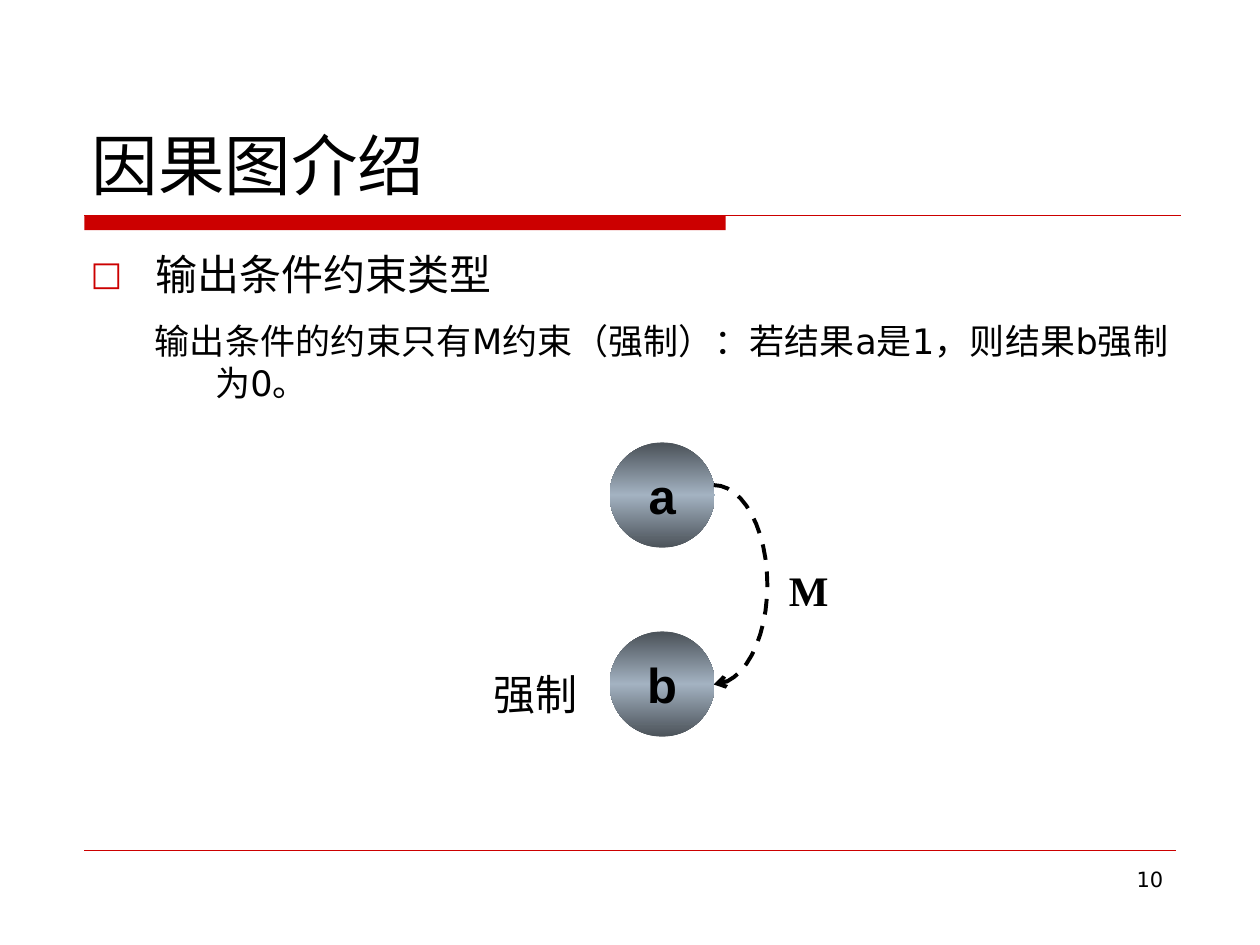
"""Build the slide on the M constraint between output conditions in cause-effect graphs."""
from math import cos, pi, sin

from lxml import etree
from pptx import Presentation
from pptx.dml.color import RGBColor
from pptx.enum.dml import MSO_LINE
from pptx.enum.shapes import MSO_CONNECTOR, MSO_SHAPE
from pptx.enum.text import MSO_ANCHOR, MSO_AUTO_SIZE, PP_ALIGN
from pptx.oxml.ns import qn
from pptx.util import Cm, Pt

STRAIGHT = MSO_CONNECTOR.STRAIGHT
RECTANGLE, OVAL = MSO_SHAPE.RECTANGLE, MSO_SHAPE.OVAL
DASH = MSO_LINE.DASH
BOTTOM, MIDDLE = MSO_ANCHOR.BOTTOM, MSO_ANCHOR.MIDDLE
GROW = MSO_AUTO_SIZE.SHAPE_TO_FIT_TEXT
LEFT, CENTER, RIGHT, JUSTIFY = PP_ALIGN.LEFT, PP_ALIGN.CENTER, PP_ALIGN.RIGHT, PP_ALIGN.JUSTIFY
COLORS = {name: RGBColor.from_string(value) for name, value in {
    "red": "CC0000", "black": "000000", "steel": "A3B2C1", "slate": "4B5259"}.items()}


def style(paragraph, size, font, align=LEFT, bold=False, east_asian=None):
    paragraph.alignment = align
    for run in paragraph.runs:
        run.font.size, run.font.name, run.font.bold = Pt(size), font, bold
        run.font.color.rgb = COLORS["black"]
        etree.SubElement(run.font._element, qn("a:ea"), typeface=east_asian or font)


def add_text(left, top, width, height, text):
    box = slide.shapes.add_textbox(Cm(left), Cm(top), Cm(width), Cm(height))
    box.text_frame.word_wrap = True
    box.text_frame.text = text
    return box.text_frame


prs = Presentation()
prs.slide_width, prs.slide_height = Cm(25.4), Cm(19.05)
slide = prs.slides.add_slide(prs.slide_layouts[6])

title_bar = slide.shapes.add_shape(RECTANGLE, Cm(1.7), Cm(4.34), Cm(12.93), Cm(0.3))
title_bar.shadow.inherit = False
title_bar.fill.solid()
title_bar.fill.fore_color.rgb = COLORS["red"]
title_bar.line.fill.background()

for y, right, weight in [(4.34, 23.8, 0.75), (17.15, 23.7, 0.25)]:
    rule = slide.shapes.add_connector(STRAIGHT, Cm(1.7), Cm(y), Cm(right), Cm(y))
    rule.line.color.rgb = COLORS["red"]
    rule.line.width = Pt(weight)
    etree.SubElement(rule._element.spPr, qn("a:effectLst"))

page_number = add_text(18.2, 17.35, 5.5, 1.32, "10")
style(page_number.paragraphs[0], 12, "DejaVu Sans", RIGHT)

title = add_text(1.6, 0.84, 22.22, 3.39, "因果图介绍")
title.vertical_anchor = BOTTOM
style(title.paragraphs[0], 38, "Noto Sans CJK SC")

body = add_text(1.58, 4.88, 22.22, 11.86,
                "输出条件约束类型\n输出条件的约束只有M约束（强制）：若结果a是1，则结果b强制为0。")
heading, explanation = body.paragraphs
explanation.level = 1
explanation.space_before = Pt(6)
for paragraph, size, margin, indent in [(heading, 24, 1.3, -1.3), (explanation, 20, 2.51, -1.22)]:
    paragraph.space_after = Pt(6)
    properties = paragraph._p.get_or_add_pPr()
    properties.set("marL", str(Cm(margin)))
    properties.set("indent", str(Cm(indent)))
    if paragraph is heading:
        bullet_color = etree.SubElement(properties, qn("a:buClr"))
        etree.SubElement(bullet_color, qn("a:srgbClr"), val=str(COLORS["red"]))
        etree.SubElement(properties, qn("a:buSzPct"), val="80000")
        etree.SubElement(properties, qn("a:buFont"), typeface="DejaVu Sans")
        etree.SubElement(properties, qn("a:buChar"), char="□")
    else:
        etree.SubElement(properties, qn("a:buNone"))
    style(paragraph, size, "DejaVu Sans", JUSTIFY)

for label, left, top, bold in [("M", 14.4, 11.25, True), ("强制", 8.89, 13.36, False)]:
    caption = add_text(left, top, 3.81, 1.27, label)
    caption.auto_size = GROW
    style(caption.paragraphs[0], 24, "Times New Roman", CENTER, bold, "DejaVu Sans")

for name, top in [("a", 8.92), ("b", 12.73)]:
    node = slide.shapes.add_shape(OVAL, Cm(12.29), Cm(top), Cm(2.12), Cm(2.12))
    node.shadow.inherit = False
    node.line.fill.background()
    node.fill.gradient()
    node.fill.gradient_angle = 270
    stops = node.fill._fill._gradFill.find(qn("a:gsLst"))
    stops.clear()
    for position, shade in [(0, "slate"), (50, "steel"), (100, "slate")]:
        stop = etree.SubElement(stops, qn("a:gs"), pos=str(position * 1000))
        etree.SubElement(stop, qn("a:srgbClr"), val=str(COLORS[shade]))
    node.text_frame.word_wrap = False
    node.text_frame.vertical_anchor = MIDDLE
    node.text_frame.text = name
    style(node.text_frame.paragraphs[0], 28, "Arial", CENTER, True)

arc_left, arc_middle, arc_width, arc_radius, steps = 14.39, 11.79, 1.08, 2.01, 24
angles = [pi * step / steps - pi / 2 for step in range(steps + 1)]
arc_points = [(Cm(arc_left + arc_width * cos(angle)), Cm(arc_middle + arc_radius * sin(angle)))
              for angle in angles]
builder = slide.shapes.build_freeform(*arc_points[0])
builder.add_line_segments(arc_points[1:], close=False)
forcing_arc = builder.convert_to_shape()
forcing_arc.shadow.inherit = False
forcing_arc.fill.background()
forcing_arc.line.color.rgb = COLORS["black"]
forcing_arc.line.width = Pt(2.25)
forcing_arc.line.dash_style = DASH
etree.SubElement(forcing_arc.line._get_or_add_ln(), qn("a:tailEnd"), type="arrow")

prs.save("out.pptx")
